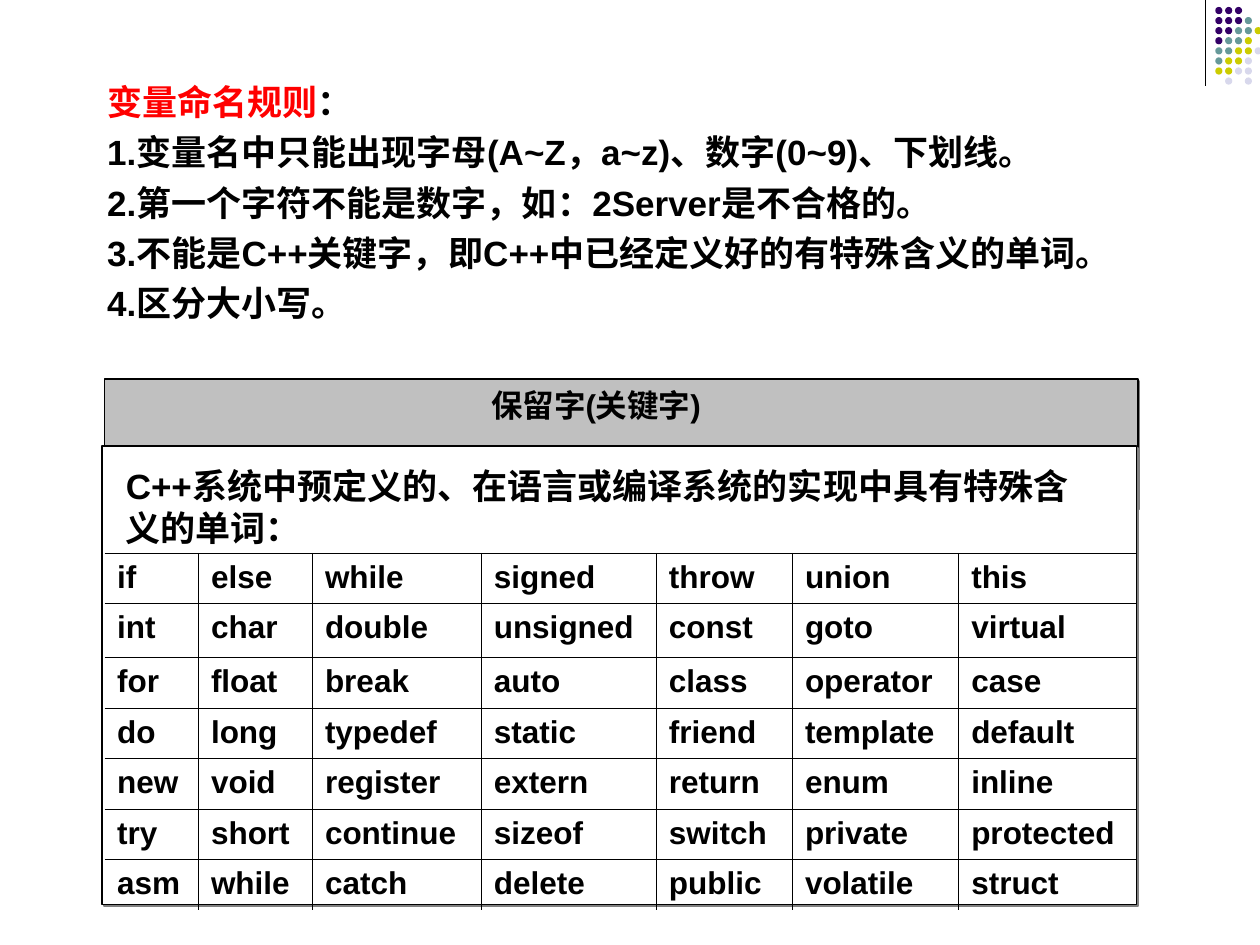
from dataclasses import dataclass

from lxml.etree import SubElement
from pptx import Presentation
from pptx.dml.color import RGBColor
from pptx.enum.shapes import MSO_CONNECTOR as Connector, MSO_SHAPE as Shape
from pptx.enum.text import MSO_ANCHOR as Anchor, MSO_AUTO_SIZE as AutoSize, PP_ALIGN as Align
from pptx.oxml.ns import qn
from pptx.util import Inches, Pt

UNIT = Inches(0.1)
BLACK = RGBColor(0x00, 0x00, 0x00)
WHITE = RGBColor(0xFF, 0xFF, 0xFF)
RED = RGBColor(0xFF, 0x00, 0x00)
SILVER = RGBColor(0xC0, 0xC0, 0xC0)
SHADOW_GREY = RGBColor(0x80, 0x80, 0x80)
DOT_COLOURS = {
    "P": RGBColor(0x33, 0x00, 0x66),
    "T": RGBColor(0x66, 0x99, 0x99),
    "Y": RGBColor(0xCC, 0xCC, 0x00),
    "L": RGBColor(0xD8, 0xD8, 0xEC),
}
DOT_ROWS = ["PPP", "PPPT", "PPTTY", "PTTY", "TTYYL", "TYYL", "YYLL", " L L"]
RULES = [
    [("变量命名规则", RED), ("：", BLACK)],
    [("1.变量名中只能出现字母(A~Z，a~z)、数字(0~9)、下划线。", BLACK)],
    [("2.第一个字符不能是数字，如：2Server是不合格的。", BLACK)],
    [("3.不能是C++关键字，即C++中已经定义好的有特殊含义的单词。", BLACK)],
    [("4.区分大小写。", BLACK)],
]
KEYWORDS = [
    "if else while signed throw union this",
    "int char double unsigned const goto virtual",
    "for float break auto class operator case",
    "do long typedef static friend template default",
    "new void register extern return enum inline",
    "try short continue sizeof switch private protected",
    "asm while catch delete public volatile struct",
]
COLUMN_UNITS = [7.45, 9.05, 13.4, 13.9, 10.8, 13.2, 14.1]
ROW_UNITS = [4, 4.3, 4, 4, 4, 4, 4]


@dataclass
class Box:
    """A rectangle measured in grid columns and rows."""
    left: float
    top: float
    width: float
    height: float

    def inner(self, left, top, width, height):
        """Return a box whose corner is offset from this one."""
        return Box(self.left + left, self.top + top, width, height)

    def lengths(self):
        """Return left, top, width and height as slide lengths."""
        return [round(value * UNIT) for value in (self.left, self.top, self.width, self.height)]


def move(shape, box):
    """Move and size a shape to fit a box."""
    shape.left, shape.top, shape.width, shape.height = box.lengths()


def add_span(para, text, size, colour=BLACK):
    """Add one bold run to a paragraph."""
    span = para.add_run()
    span.text = text
    span.font.name = "Arial"
    span.font.size = Pt(size)
    span.font.bold = True
    span.font.color.rgb = colour


def add_frame(page, box, colour):
    """Draw an outlined rectangle with a small hard shadow."""
    frame = page.shapes.add_shape(Shape.RECTANGLE, *box.lengths())
    frame.fill.solid()
    frame.fill.fore_color.rgb = colour
    frame.line.color.rgb = BLACK
    frame.line.width = Pt(1)
    effects = SubElement(frame._element.spPr, qn("a:effectLst"))
    shadow = SubElement(effects, qn("a:outerShdw"), blurRad="0", dist=str(Pt(1.4)),
                        dir="2700000", algn="ctr", rotWithShape="0")
    SubElement(shadow, qn("a:srgbClr"), val=str(SHADOW_GREY))


def add_corner(page, box):
    """Draw the corner line and its grid of coloured dots."""
    left, top, _, height = box.lengths()
    line = page.shapes.add_connector(Connector.STRAIGHT, left, top, left, top + height)
    line.line.color.rgb = BLACK
    line.line.width = Pt(0.75)
    SubElement(line._element.spPr, qn("a:effectLst"))
    for row, pattern in enumerate(DOT_ROWS):
        for column, key in enumerate(pattern):
            if key in DOT_COLOURS:
                place = box.inner(0.75 + 0.78 * column, 0.55 + 0.8 * row, 0.57, 0.57)
                dot = page.shapes.add_shape(Shape.OVAL, *place.lengths())
                dot.shadow.inherit = False
                dot.fill.solid()
                dot.fill.fore_color.rgb = DOT_COLOURS[key]
                dot.line.fill.background()


def add_rules(page, box):
    """Fill the body placeholder with the naming rules."""
    body = page.placeholders[1]
    move(body, box)
    frame = body.text_frame
    frame.auto_size = AutoSize.NONE
    frame.vertical_anchor = Anchor.MIDDLE
    for index, spans in enumerate(RULES):
        para = frame.add_paragraph() if index else frame.paragraphs[0]
        properties = para._p.get_or_add_pPr()
        properties.set("marL", "0")
        properties.set("indent", "0")
        SubElement(properties, qn("a:buNone"))
        para.line_spacing = 1.2
        para.space_before = Pt(0)
        for text, colour in spans:
            add_span(para, text, 20, colour)


def set_borders(cell, visible):
    """Draw thin lines on the visible sides of a cell and none elsewhere."""
    properties = cell._tc.get_or_add_tcPr()
    for side in "LRTB":
        line = SubElement(properties, qn(f"a:ln{side}"), w=str(Pt(0.45)))
        if side in visible:
            fill = SubElement(line, qn("a:solidFill"))
            SubElement(fill, qn("a:srgbClr"), val=str(BLACK))
        else:
            SubElement(line, qn("a:noFill"))


def add_keyword_table(page, box):
    """Add the keyword table, open at its left, right and bottom edges."""
    words = [line.split() for line in KEYWORDS]
    last_row, last_column = len(words) - 1, len(words[0]) - 1
    table = page.shapes.add_table(len(words), len(words[0]), *box.lengths()).table
    table.first_row = table.horz_banding = False
    for column, units in zip(table.columns, COLUMN_UNITS):
        column.width = round(units * UNIT)
    for row, units in zip(table.rows, ROW_UNITS):
        row.height = round(units * UNIT)
    for row, line in enumerate(words):
        for column, word in enumerate(line):
            cell = table.cell(row, column)
            sides = "T" + "L" * (column > 0) + "R" * (column < last_column) + "B" * (row < last_row)
            set_borders(cell, sides)
            cell.fill.background()
            add_span(cell.text_frame.paragraphs[0], word, 18)


def add_keyword_panel(page, box):
    """Place the heading bar, the definition and the keyword table."""
    add_frame(page, box.inner(0.2, 0, 82, 10.2), SILVER)
    add_frame(page, box.inner(0, 5.3, 82.1, 36.4), WHITE)
    note = page.shapes.add_textbox(*box.inner(0.9, 6.3, 78.7, 7.7).lengths()).text_frame
    note.word_wrap = True
    add_span(note.paragraphs[0], "C++系统中预定义的、在语言或编译系统的实现中具有特殊含义的单词：", 20)
    add_keyword_table(page, box.inner(0.2, 13.8, 81.9, 28.3))
    title = page.shapes.title
    move(title, box.inner(1.7, 0.4, 75, 3.7))
    title.text_frame.auto_size = AutoSize.NONE
    title.text_frame.vertical_anchor = Anchor.MIDDLE
    para = title.text_frame.paragraphs[0]
    para.alignment = Align.CENTER
    para.line_spacing = 0.9
    add_span(para, "保留字(关键字)", 18)
    page.shapes._spTree.append(title._element)


def main():
    """Build and save the deck."""
    deck = Presentation()
    deck.slide_width, deck.slide_height = 100 * UNIT, 75 * UNIT
    page = deck.slides.add_slide(deck.slide_layouts[1])
    add_corner(page, Box(95.7, 0, 4.3, 6.8))
    add_keyword_panel(page, Box(8.1, 30.1, 82.2, 41.7))
    add_rules(page, Box(7.5, 5.2, 88.2, 21))
    deck.save("out.pptx")


if __name__ == "__main__":
    main()
